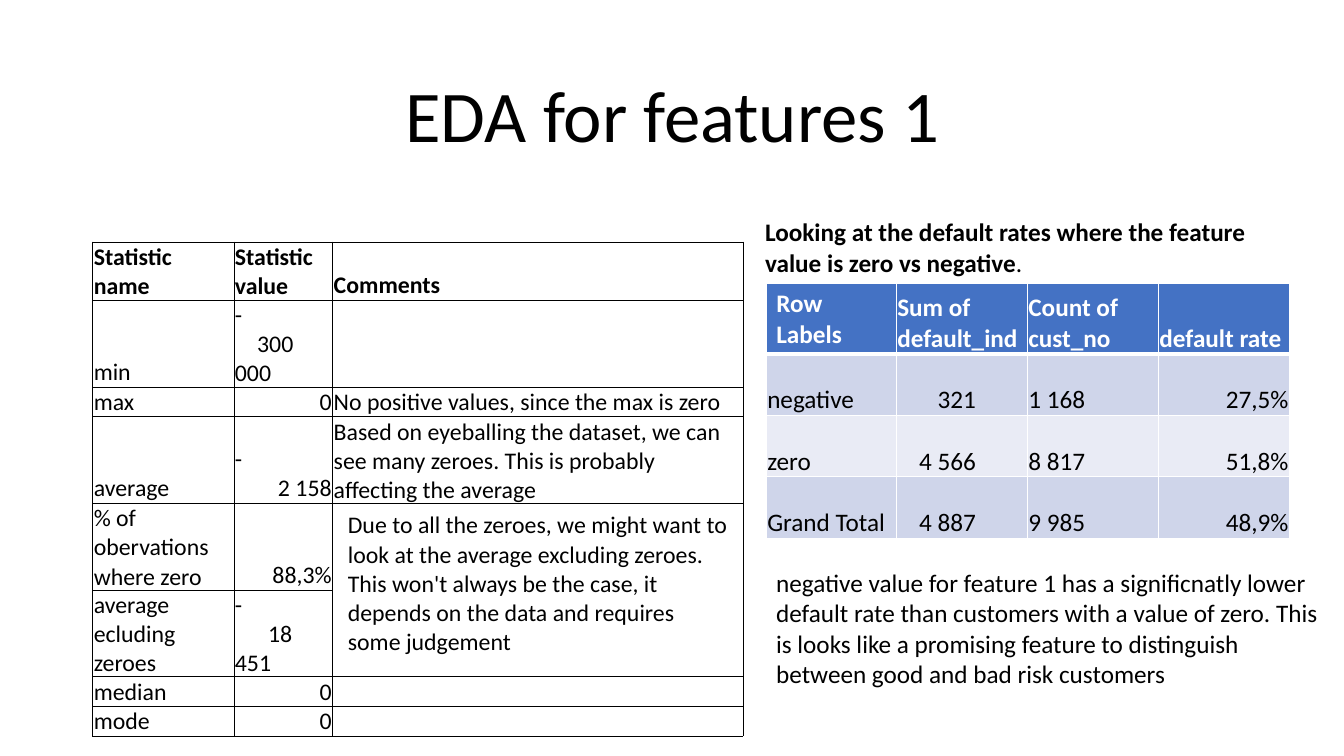
from lxml import etree
from pptx import Presentation, util as u
from pptx.dml.color import RGBColor
from pptx.enum import text
from pptx.oxml import ns

BLACK = RGBColor(0, 0, 0)
WHITE = RGBColor(0xFF, 0xFF, 0xFF)
BLUE = RGBColor(0x44, 0x72, 0xC4)
BANDS = (RGBColor(0xCF, 0xD5, 0xEA), RGBColor(0xE9, 0xEB, 0xF5))
LEFT, RIGHT, CENTER = (text.PP_ALIGN.LEFT, text.PP_ALIGN.RIGHT,
                       text.PP_ALIGN.CENTER)
TIGHT = (0.01, 0.01, 0.01, 0)
ROOMY = (0.15, 0.08, 0.15, 0.08)
NORMAL = (0.1, 0.05, 0.1, 0.05)

STATISTICS = [
    ("Statistic name", ["Statistic value"], "Comments"),
    ("min", ["-", "300 000"], ""),
    ("max", ["0"], "No positive values, since the max is zero"),
    ("average", ["-", "2 158"],
     "Based on eyeballing the dataset, we can see many zeroes. "
     "This is probably affecting the average"),
    ("% of obervations where zero", ["88,3%"],
     "Due to all the zeroes, we might want to look at the average excluding "
     "zeroes. This won't always be the case, it depends on the data and "
     "requires some judgement"),
    ("average ecluding zeroes", ["-", "18 451"], ""),
    ("median", ["0"], ""),
    ("mode", ["0"], ""),
]
WRAPPED_INDENTS = {"300 000": 0.22, "18 451": 0.33}
DEFAULT_RATES = [
    ("Row Labels", "Sum of default_ind", "Count of cust_no", "default rate"),
    ("negative", "321", "1 168", "27,5%"),
    ("zero", "4 566", "8 817", "51,8%"),
    ("Grand Total", "4 887", "9 985", "48,9%"),
]


def add_run(p, words, size, color=BLACK, bold=False):
    r = p.add_run()
    r.text = words
    for name, value in {"size": u.Pt(size), "name": "Calibri",
                        "bold": bold}.items():
        setattr(r.font, name, value)
    r.font.color.rgb = color


def add_text(s, box, runs, size, align=LEFT, spacing=None, grow=True):
    tf = s.shapes.add_textbox(*map(u.Inches, box)).text_frame
    tf.word_wrap = True
    if grow:
        tf.auto_size = text.MSO_AUTO_SIZE.SHAPE_TO_FIT_TEXT
    else:
        tf.vertical_anchor = text.MSO_ANCHOR.MIDDLE
    p = tf.paragraphs[0]
    p.alignment, p.line_spacing = align, spacing
    for words, bold in runs:
        add_run(p, words, size, bold=bold)


def add_grid(s, box, widths, heights):
    table = s.shapes.add_table(len(heights), len(widths),
                               *map(u.Inches, box)).table
    table.first_row = table.horz_banding = False
    for column, width in zip(table.columns, widths):
        column.width = u.Inches(width)
    for row, height in zip(table.rows, heights):
        row.height = u.Inches(height)
    return table


def set_borders(cell, color, width, bottom=None):
    tcPr = cell._tc.get_or_add_tcPr()
    for i, side in enumerate("LRTB"):
        points = bottom if side == "B" and bottom else width
        ln = etree.Element(ns.qn(f"a:ln{side}"), w=str(u.Pt(points)))
        fill = etree.SubElement(ln, ns.qn("a:solidFill"))
        etree.SubElement(fill, ns.qn("a:srgbClr"), val=str(color))
        tcPr.insert(i, ln)


def fill_cell(cell, lines, size, color=BLACK, bold=False, align=LEFT,
              insets=TIGHT, anchor=text.MSO_ANCHOR.BOTTOM, fill=None):
    for side, inset in zip(("left", "top", "right", "bottom"), insets):
        setattr(cell, f"margin_{side}", u.Inches(inset))
    cell.vertical_anchor = anchor
    if fill is None:
        cell.fill.background()
    else:
        cell.fill.solid()
        cell.fill.fore_color.rgb = fill
    tf = cell.text_frame
    for i, line in enumerate(lines):
        p = tf.add_paragraph() if i else tf.paragraphs[0]
        indent = WRAPPED_INDENTS.get(line)
        p.alignment = LEFT if line == "-" or indent else align
        if indent:
            p._p.get_or_add_pPr().set("indent", str(u.Inches(indent)))
        if line:
            add_run(p, line, size, color, bold)
        else:
            etree.SubElement(p._p, ns.qn("a:endParaRPr"), sz=str(size * 100))


def add_statistics(s, box):
    table = add_grid(s, box, (1.4, 0.98, 4.07),
                     (0.47, 0.47, 0.24, 0.7, 0.7, 0.7, 0.24, 0.24))
    for i, (name, value, comment) in enumerate(STATISTICS):
        header = i == 0
        for j, lines in enumerate(([name], value, [comment])):
            cell = table.cell(i, j)
            merged = comment.startswith("Due") and j == 2
            fill_cell(cell, lines, 17, bold=header,
                      align=RIGHT if j == 1 and not header else LEFT,
                      insets=ROOMY if merged else TIGHT,
                      anchor=text.MSO_ANCHOR.TOP if merged
                      else text.MSO_ANCHOR.BOTTOM)
            set_borders(cell, BLACK, 0.5)
    table.cell(4, 2).merge(table.cell(5, 2))


def add_default_rates(s, box):
    table = add_grid(s, box, (1.29, 1.3, 1.3, 1.3), (0.7, 0.61, 0.61, 0.61))
    for i, row in enumerate(DEFAULT_RATES):
        for j, words in enumerate(row):
            cell = table.cell(i, j)
            if i == 0:
                style = {"color": WHITE, "bold": True, "fill": BLUE}
                if j == 0:
                    style.update(insets=NORMAL, anchor=text.MSO_ANCHOR.TOP)
            else:
                style = {"fill": BANDS[(i - 1) % 2],
                         "align": RIGHT if j in (1, 3) else LEFT}
                if j == 1:
                    style["insets"] = (0.01, 0.01, 0.51, 0)
            fill_cell(cell, [words], 18, **style)
            set_borders(cell, WHITE, 1, bottom=3 if i == 0 else None)


def add_comparison(s, x, y):
    add_text(s, (x, y, 5.54, 0.71),
             [("Looking at the default rates where the feature value is zero "
               "vs negative", True), (".", False)], 18)
    add_default_rates(s, (x + 0.11, y + 0.71, 5.2, 2.52))
    add_text(s, (x + 0.11, y + 3.48, 5.63, 1.31),
             [("negative value for feature 1 has a significnatly lower default "
               "rate than customers with a value of zero. This is looks like a "
               "promising feature to distinguish between good and bad risk "
               "customers", False)], 18)


def main():
    prs = Presentation()
    prs.slide_width, prs.slide_height = u.Inches(13.33), u.Inches(7.5)
    s = prs.slides.add_slide(prs.slide_layouts[6])
    add_text(s, (0.92, 0.56, 11.5, 1.24), [("EDA for features 1", False)], 52,
             CENTER, 0.9, grow=False)
    add_statistics(s, (0.92, 2.4, 6.45, 4.61))
    add_comparison(s, 7.49, 2.1)
    prs.save("out.pptx")


if __name__ == "__main__":
    main()
